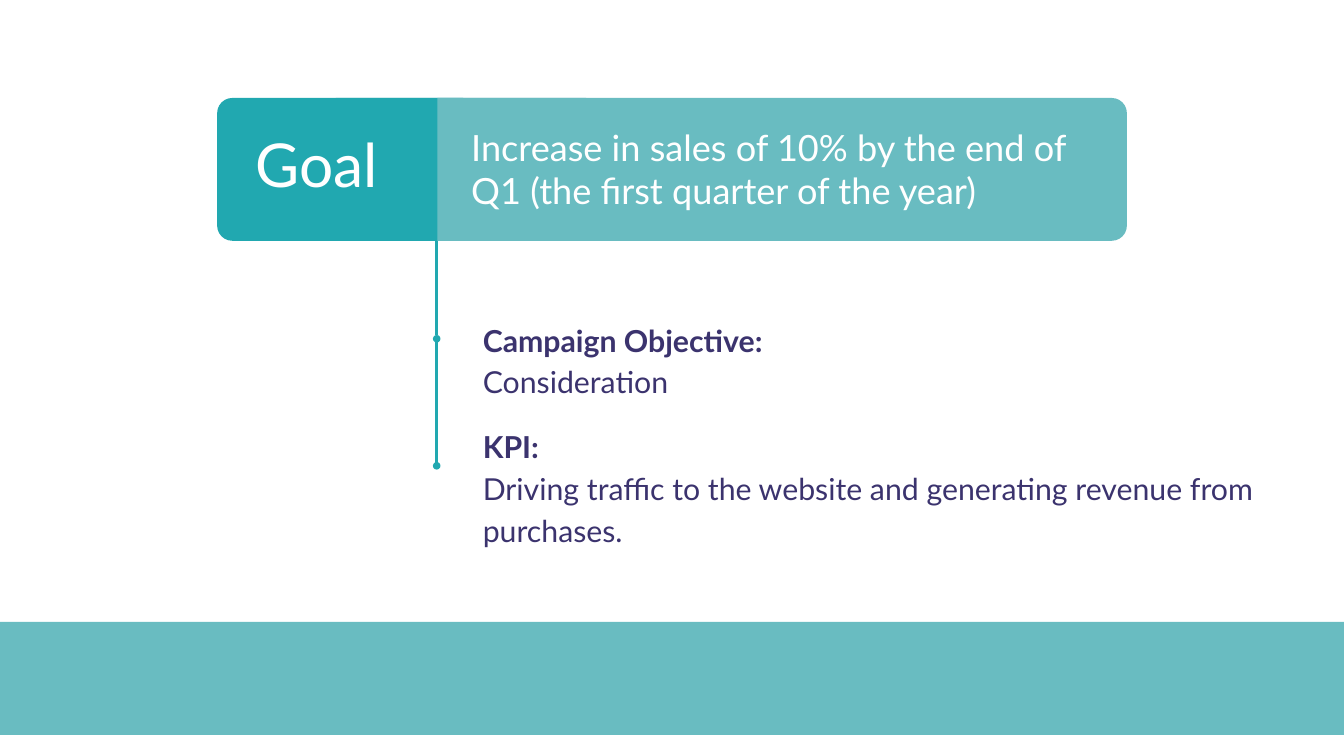
import pptx
import pptx.util
import pptx.dml.color
import pptx.enum.shapes
import pptx.enum.text
import pptx.oxml
import pptx.oxml.ns
from dataclasses import dataclass

GOAL_LABEL = "Goal"
GOAL_TEXT = "Increase in sales of 10% by the end of Q1 (the first quarter of the year)"
# heading, detail, width of the text box
DETAILS = [
    ("Campaign Objective:", "Consideration", 587.5),
    ("KPI:", "Driving traffic to the website and generating revenue from purchases.", 961.2),
]


@dataclass(frozen=True)
class Theme:
    font: str = "Lato"
    teal: str = "21A8B0"
    light_teal: str = "69BCC1"
    purple: str = "3B336E"
    white: str = "FFFFFF"
    label_size: float = 72
    goal_size: float = 43
    detail_size: float = 36
    line_width: float = 3


THEME = Theme()
Pt = pptx.util.Pt
SHAPES = pptx.enum.shapes.MSO_SHAPE

SLIDE_WIDTH, SLIDE_HEIGHT = 1599.84, 874.8
FOOTER_TOP = 740.16
BAR_TOP, BAR_HEIGHT = 116.6, 170
BAR_LEFT, BAR_RIGHT = 258.5, 1341.4
CORNER = 0.106
SPINE_X, SPINE_TOP, SPINE_STEP = 519.84, 252, 151.2
DETAIL_LEFT, DETAIL_TOP, DETAIL_HEIGHT, DETAIL_STEP = 558.7, 372.2, 108, 152


def rgb(color):
    return pptx.dml.color.RGBColor.from_string(color)


def add_box(slide, kind, left, top, width, height, color, corner=None):
    shape = slide.shapes.add_shape(kind, Pt(left), Pt(top), Pt(width), Pt(height))
    shape.shadow.inherit = False
    shape.fill.solid()
    shape.fill.fore_color.rgb = rgb(color)
    shape.line.fill.background()
    if corner is not None:
        shape.adjustments[0] = corner


def add_text(slide, paragraphs, left, top, width, height, *, size, color, inset=16,
             line_spacing=1.0, bold_first=False):
    text_box = slide.shapes.add_textbox(Pt(left), Pt(top), Pt(width), Pt(height))
    frame = text_box.text_frame
    frame.word_wrap = True
    frame.vertical_anchor = pptx.enum.text.MSO_ANCHOR.MIDDLE
    frame.margin_left = frame.margin_right = Pt(inset)
    frame.margin_top = frame.margin_bottom = Pt(inset)
    for index, text in enumerate(paragraphs):
        paragraph = frame.add_paragraph() if index else frame.paragraphs[0]
        paragraph.line_spacing = line_spacing
        run = paragraph.add_run()
        run.text = text
        run.font.name = THEME.font
        run.font.size = Pt(size)
        run.font.bold = bold_first and index == 0
        run.font.color.rgb = rgb(color)


def add_spine_segment(slide, top, bottom):
    """Draw a vertical line that ends in a round dot."""
    connector = slide.shapes.add_connector(
        pptx.enum.shapes.MSO_CONNECTOR.STRAIGHT,
        Pt(SPINE_X), Pt(top), Pt(SPINE_X), Pt(bottom))
    connector.line.color.rgb = rgb(THEME.teal)
    connector.line.width = Pt(THEME.line_width)
    dot = pptx.oxml.parse_xml(
        f'<a:tailEnd {pptx.oxml.ns.nsdecls("a")} type="oval"/>')
    connector.line._get_or_add_ln().append(dot)
    connector._element.spPr.append(
        pptx.oxml.parse_xml(f'<a:effectLst {pptx.oxml.ns.nsdecls("a")}/>'))


def add_goal_bar(slide):
    pieces = [
        (SHAPES.ROUNDED_RECTANGLE, 382.3, BAR_RIGHT, THEME.light_teal, CORNER),
        (SHAPES.ROUNDED_RECTANGLE, BAR_LEFT, 568.8, THEME.teal, CORNER),
        (SHAPES.RECTANGLE, 520.6, 697.7, THEME.light_teal, None),
    ]
    for kind, left, right, color, corner in pieces:
        add_box(slide, kind, left, BAR_TOP, right - left, BAR_HEIGHT, color, corner)
    add_text(slide, [GOAL_TEXT], 545, 123.1, 782.6, 155.5,
             size=THEME.goal_size, color=THEME.white)
    add_text(slide, [GOAL_LABEL], 297.4, 118.1, 188.6, 153.4,
             size=THEME.label_size, color=THEME.white, inset=7.2)


def main():
    presentation = pptx.Presentation()
    presentation.slide_width = Pt(SLIDE_WIDTH)
    presentation.slide_height = Pt(SLIDE_HEIGHT)
    slide = presentation.slides.add_slide(presentation.slide_layouts[6])

    add_box(slide, SHAPES.RECTANGLE, 0, FOOTER_TOP, SLIDE_WIDTH,
            SLIDE_HEIGHT - FOOTER_TOP, THEME.light_teal)
    for index, (heading, detail, width) in enumerate(DETAILS):
        segment_top = SPINE_TOP + index * SPINE_STEP
        add_spine_segment(slide, segment_top, segment_top + SPINE_STEP)
        add_text(slide, [heading, detail], DETAIL_LEFT, DETAIL_TOP + index * DETAIL_STEP,
                 width, DETAIL_HEIGHT, size=THEME.detail_size, color=THEME.purple,
                 line_spacing=1.15, bold_first=True)
    add_goal_bar(slide)
    presentation.save("out.pptx")


if __name__ == "__main__":
    main()
